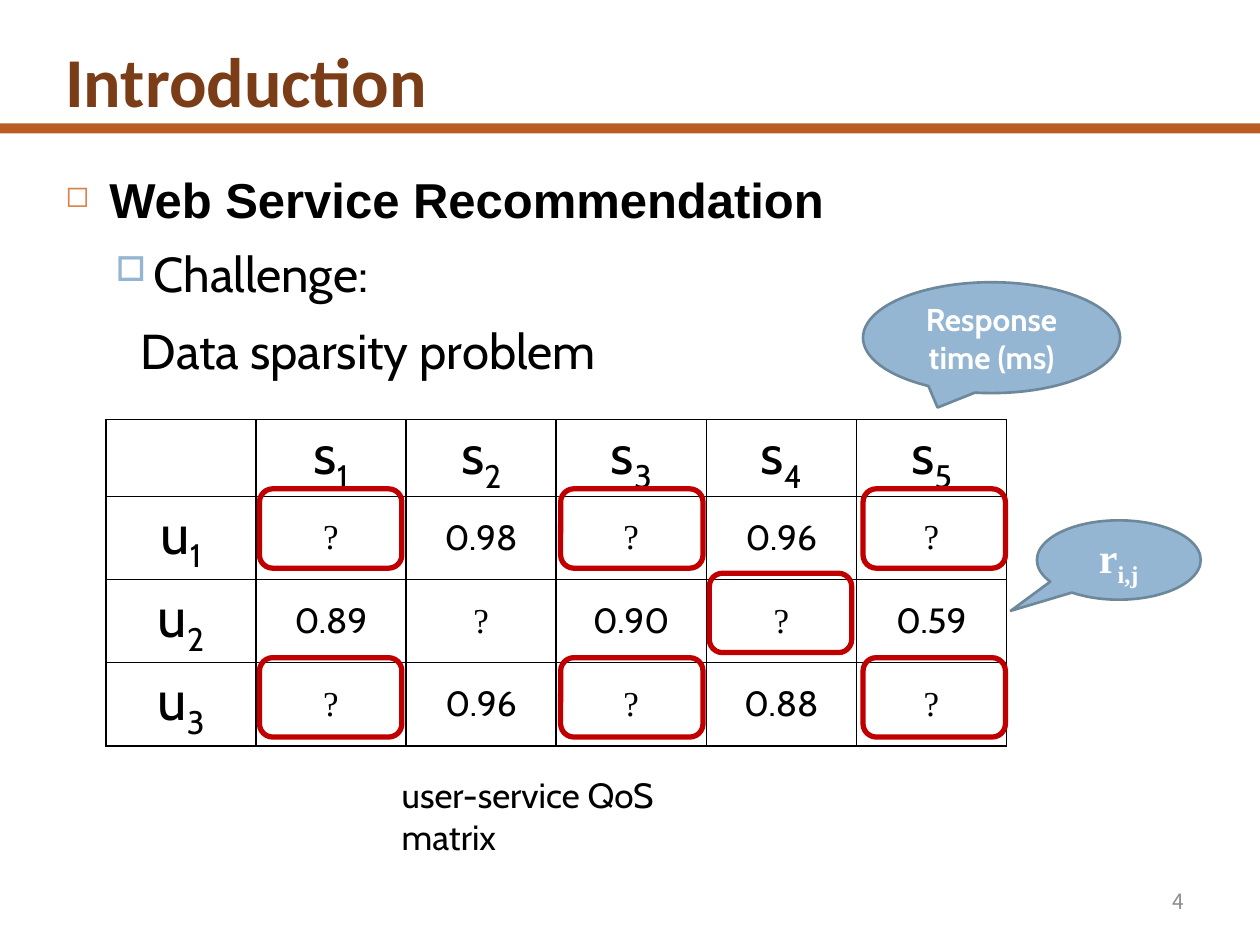
from lxml.etree import SubElement
from pptx import Presentation
from pptx.dml.color import RGBColor
from pptx.enum.shapes import MSO_SHAPE as Shape
from pptx.enum.text import MSO_ANCHOR as Anchor, PP_ALIGN as Align
from pptx.oxml import parse_xml
from pptx.oxml.ns import nsdecls, qn
from pptx.util import Inches, Pt

WHITE = RGBColor(0xFF, 0xFF, 0xFF)
BLACK = RGBColor(0, 0, 0)
BROWN = RGBColor(0x7B, 0x3D, 0x17)
RUST = RGBColor(0xB9, 0x5B, 0x22)
ORANGE = RGBColor(0xDD, 0x80, 0x47)
BLUE = RGBColor(0x94, 0xB6, 0xD2)
DARK_BLUE = RGBColor(0x6D, 0x87, 0x9B)
RED = RGBColor(0xC0, 0, 0)
GRAY = RGBColor(0x8C, 0x8C, 0x8C)


def write(paragraph, text, size, name, color=BLACK, bold=False, align=Align.LEFT):
    """Fill a paragraph; whatever follows an underscore becomes a subscript."""
    paragraph.alignment = align
    font = paragraph.font
    font.size, font.name, font.bold = Pt(size), name, bold
    font.color.rgb = color
    base, _, subscript = text.partition("_")
    paragraph.add_run().text = base
    if subscript:
        run = paragraph.add_run()
        run.text = subscript
        run.font._element.set("baseline", "-25000")


def add_text_frame(left, top, width, height, anchor=Anchor.TOP):
    box = slide.shapes.add_textbox(Inches(left), Inches(top), Inches(width), Inches(height))
    box.text_frame.word_wrap = True
    box.text_frame.vertical_anchor = anchor
    return box.text_frame


presentation = Presentation()
presentation.slide_width, presentation.slide_height = Inches(10), Inches(7.5)
slide = presentation.slides.add_slide(presentation.slide_layouts[6])

# Title and rule
rule = slide.shapes.add_shape(Shape.RECTANGLE, 0, Inches(0.98), Inches(10), Inches(0.08))
rule.shadow.inherit = False
rule.fill.solid()
rule.fill.fore_color.rgb = RUST
rule.line.fill.background()
title = add_text_frame(0.42, 0.25, 9.17, 0.77, Anchor.MIDDLE)
write(title.paragraphs[0], "Introduction", 40, "Calibri", BROWN, True)

# Outline: text, font, bold, left margin, indent, space before, bullet (sign, colour, percent)
outline = [
    ("Web Service Recommendation", "Arial", True, 0.35, -0.35, 7, ("◻", ORANGE, 60)),
    ("Challenge:", "Cabin", False, 0.7, -0.3, 5.5, ("□", BLUE, 70)),
    ("Data sparsity problem", "Cabin", False, 0.6, 0, 7, None),
]
body = add_text_frame(0.42, 1.25, 9.17, 5.92)
for index, (text, name, bold, margin, indent, before, bullet) in enumerate(outline):
    paragraph = body.add_paragraph() if index else body.paragraphs[0]
    write(paragraph, text, 28, name, bold=bold)
    paragraph.line_spacing = 1.1
    paragraph.space_before = Pt(before)
    properties = paragraph._p.get_or_add_pPr()
    properties.set("marL", str(Inches(margin)))
    properties.set("indent", str(Inches(indent)))
    if bullet:
        sign, color, percent = bullet
        default_font = properties.find(qn("a:defRPr"))
        for xml in (
            f'<a:buClr {nsdecls("a")}><a:srgbClr val="{color}"/></a:buClr>',
            f'<a:buSzPct {nsdecls("a")} val="{percent * 1000}"/>',
            f'<a:buChar {nsdecls("a")} char="{sign}"/>',
        ):
            default_font.addprevious(parse_xml(xml))

number = add_text_frame(7.17, 6.95, 2.33, 0.4, Anchor.MIDDLE)
write(number.paragraphs[0], "4", 12, "Noto Sans CJK SC", GRAY, align=Align.RIGHT)

# User-service matrix
matrix = [
    ["", "s_1", "s_2", "s_3", "s_4", "s_5"],
    ["u_1", "?", "0.98", "?", "0.96", "?"],
    ["u_2", "0.89", "?", "0.90", "?", "0.59"],
    ["u_3", "?", "0.96", "?", "0.88", "?"],
]
table = slide.shapes.add_table(
    4, 6, Inches(0.84), Inches(3.33), Inches(7.15), Inches(2.59)).table
for column in table.columns:
    column.width = Inches(7.15 / 6)
for index, row in enumerate(table.rows):
    row.height = Inches(0.66 if index else 0.61)
for row_index, values in enumerate(matrix):
    for column_index, value in enumerate(values):
        cell = table.cell(row_index, column_index)
        cell.vertical_anchor = Anchor.MIDDLE
        cell.margin_left = cell.margin_right = Inches(0.07)
        cell.margin_top = cell.margin_bottom = 0
        if value:
            size = 32 if "_" in value else 20
            name = "Times New Roman" if value == "?" else "Cabin"
            write(cell.text_frame.paragraphs[0], value, size, name, align=Align.CENTER)
        properties = cell._tc.get_or_add_tcPr()
        for side in ("lnL", "lnR", "lnT", "lnB"):
            border = SubElement(properties, qn(f"a:{side}"), w=str(Pt(1)))
            fill = SubElement(border, qn("a:solidFill"))
            SubElement(fill, qn("a:srgbClr"), val=str(BLACK))
        cell.fill.background()

caption = add_text_frame(3.09, 6.09, 2.94, 0.44)
write(caption.paragraphs[0], "user-service QoS matrix", 20, "Cabin")

# Callouts: place, tail, text, size, font
callouts = [
    ((6.85, 2.24, 2.04, 0.88), (-0.21, 0.63), "Response time (ms)", 18, "Cabin"),
    ((8.23, 4.13, 1.3, 0.63), (-0.66, 0.64), "r_i,j", 24, "Times New Roman"),
]
for place, tail, text, size, name in callouts:
    callout = slide.shapes.add_shape(Shape.OVAL_CALLOUT, *map(Inches, place))
    callout.shadow.inherit = False
    callout.adjustments[0], callout.adjustments[1] = tail
    callout.fill.solid()
    callout.fill.fore_color.rgb = BLUE
    callout.line.color.rgb = DARK_BLUE
    callout.line.width = Pt(1.5)
    callout.text_frame.vertical_anchor = Anchor.MIDDLE
    write(callout.text_frame.paragraphs[0], text, size, name, WHITE, True, Align.CENTER)

# Frames around missing values
frame_lefts = {1: 2.06, 3: 4.45, 4: 5.63, 5: 6.85}
for row_index, values in enumerate(matrix):
    for column_index, left in frame_lefts.items():
        if values[column_index] == "?":
            top = 3.88 + 0.67 * (row_index - 1)
            frame = slide.shapes.add_shape(
                Shape.ROUNDED_RECTANGLE, Inches(left), Inches(top), Inches(1.13), Inches(0.63))
            frame.shadow.inherit = False
            frame.fill.background()
            frame.line.color.rgb = RED
            frame.line.width = Pt(3)

presentation.save("out.pptx")
